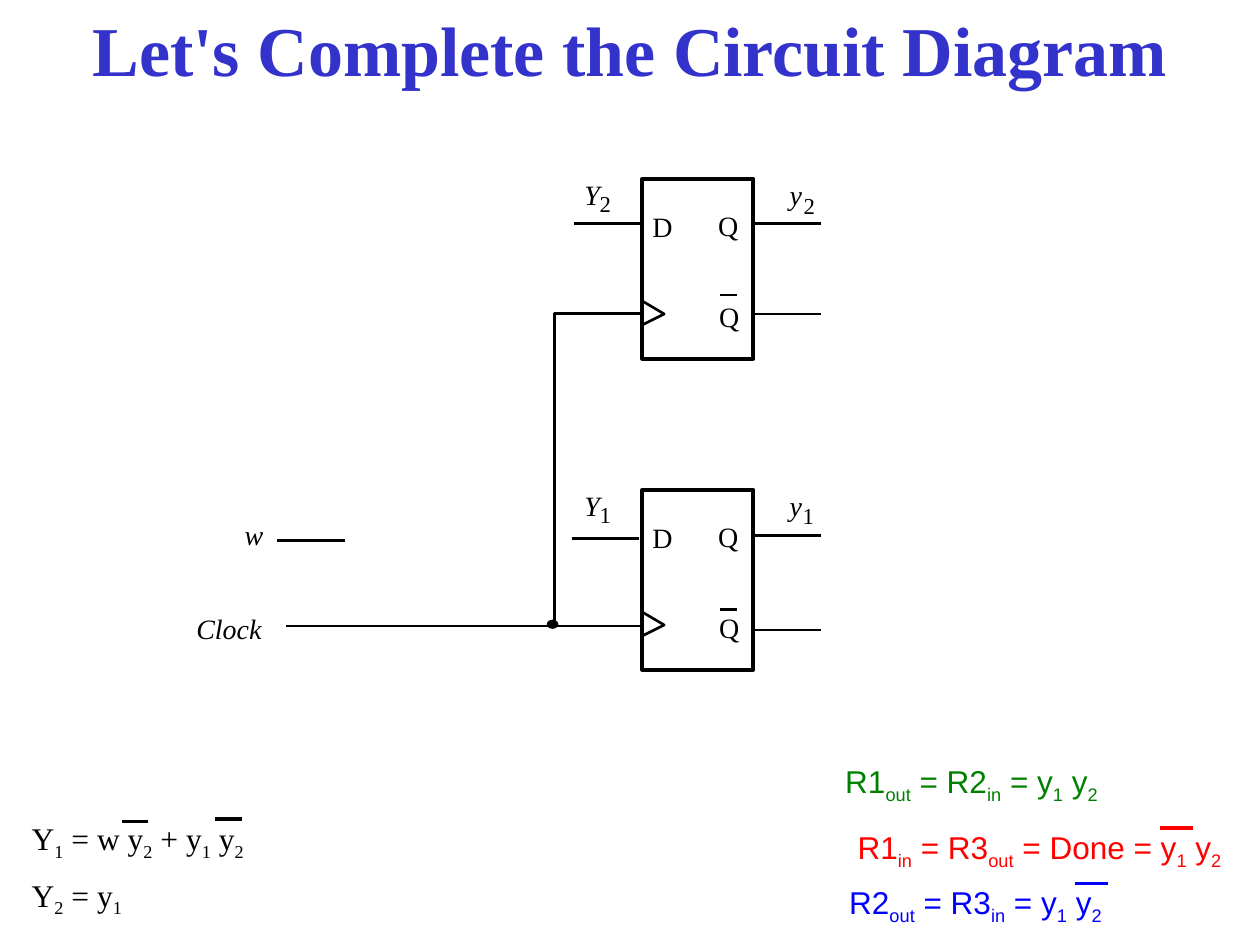
import pptx
import pptx.util
import pptx.dml.color
import pptx.enum.shapes
import pptx.enum.text
import pptx.oxml
from pptx.util import Cm

# ---- Content (lengths in cm; subscripts stand after every odd "|") ----
TITLE = "Let's Complete the Circuit Diagram"

EQUATIONS = [  # text, box, colour, font, inset, overbars (x, y, length)
    ("R1|out| = R2|in| = y|1| y|2", (16.79, 15.24, 5.84, 1.02),
     "green", "sans", 0.25, []),
    ("R2|out| = R3|in| = y|1| y|2", (16.87, 17.68, 5.84, 1.02),
     "blue", "sans", 0.25, [(21.67, 17.81, 0.66)]),
    ("R1|in| = R3|out| = Done = y|1| y|2", (17.04, 16.56, 8.1, 1.02),
     "red", "sans", 0.25, [(23.39, 16.69, 0.66)]),
    ("Y|2| = y|1", (0.64, 17.65, 2.82, 0.69), "ink", "serif", 0, []),
    ("Y|1| = w y|2| + y|1| y|2", (0.64, 16.51, 6.6, 0.69),
     "ink", "serif", 0, [(2.46, 16.56, 0.53), (4.34, 16.51, 0.53)]),
]

# Heights below the top of each flip-flop; input is its left end and height
FLIP_FLOPS = [
    {"index": "2", "top": 3.61, "input": (11.58, 0.89), "q": 0.89,
     "not_q": 2.72, "overbar": 2.34, "output_index": (3.25, 0.25)},
    {"index": "1", "top": 9.88, "input": (11.53, 0.98), "q": 0.91,
     "not_q": 2.82, "overbar": 2.41, "output_index": (3.23, 0.23)},
]
FLIP_LEFT, FLIP_WIDTH, FLIP_HEIGHT = 12.95, 2.24, 3.62
PIN_LABELS = [("D", 0.2, 0.62), ("Q", 1.53, 0.6), ("Q", 1.55, 2.42)]
LABEL_BOX = (0.81, 0.81)
INDEX_BOX = (0.58, 0.69)
WIRE_LENGTH = 1.36

SIGNALS = [("w", 4.93, 10.44), ("Clock", 3.96, 12.32)]
W_WIRE = (5.59, 10.9)
CLOCK_LEFT, CLOCK_BRANCH = 5.77, 11.18
CLOCK_HEIGHTS = (6.32, 12.62)

THEME = {
    "serif": "Times New Roman", "sans": "Arial",
    "title": "3333CC", "ink": "000000", "paper": "FFFFFF",
    "green": "008000", "blue": "0000FF", "red": "FF0000",
    "title_size": 40, "equation_size": 18, "label_size": 16, "index_size": 13,
    "wire": 1.5, "overbar": 2, "outline": 2.25,
}


def color(name):
    return pptx.dml.color.RGBColor.from_string(THEME[name])


def set_font(paragraph, size, ink="ink", face="serif"):
    paragraph.font.size = pptx.util.Pt(THEME[size])
    paragraph.font.name = THEME[face]
    paragraph.font.color.rgb = color(ink)


def set_line(shape, width, ink="ink"):
    shape.line.color.rgb = color(ink)
    shape.line.width = pptx.util.Pt(THEME[width])


def add_text(slide, text, box, size, ink="ink", face="serif", inset=0, italic=None):
    frame = slide.shapes.add_textbox(*map(Cm, box)).text_frame
    frame.word_wrap = True
    frame.margin_left = frame.margin_right = Cm(inset)
    frame.margin_top = frame.margin_bottom = Cm(inset / 2)
    paragraph = frame.paragraphs[0]
    set_font(paragraph, size, ink, face)
    paragraph.font.italic = italic
    for position, part in enumerate(text.split("|")):
        run = paragraph.add_run()
        run.text = part
        if position % 2:
            run.font._element.set("baseline", "-25000")


def add_line(slide, x1, y1, x2, y2, width="wire", ink="ink"):
    line = slide.shapes.add_connector(
        pptx.enum.shapes.MSO_CONNECTOR.STRAIGHT, *map(Cm, (x1, y1, x2, y2)))
    set_line(line, width, ink)
    line._element.spPr.append(pptx.oxml.parse_xml(
        '<a:effectLst xmlns:a="http://schemas.openxmlformats.org/drawingml/2006/main"/>'))


def add_polyline(slide, points):
    start, *rest = [(Cm(x), Cm(y)) for x, y in points]
    builder = slide.shapes.build_freeform(*start)
    builder.add_line_segments(rest, close=False)
    polyline = builder.convert_to_shape()
    polyline.fill.background()
    polyline.shadow.inherit = False
    set_line(polyline, "wire")


def add_solid(slide, kind, box, fill, width):
    solid = slide.shapes.add_shape(kind, *map(Cm, box))
    solid.fill.solid()
    solid.fill.fore_color.rgb = color(fill)
    solid.shadow.inherit = False
    set_line(solid, width)


def add_flip_flop(slide, flip):
    left, top = FLIP_LEFT, flip["top"]
    right = left + FLIP_WIDTH
    add_solid(slide, pptx.enum.shapes.MSO_SHAPE.RECTANGLE,
              (left, top, FLIP_WIDTH, FLIP_HEIGHT), "paper", "outline")

    # Pins and clock marker
    for pin, dx, dy in PIN_LABELS:
        add_text(slide, pin, (left + dx, top + dy, *LABEL_BOX), "label_size")
    add_line(slide, left + 1.57, top + flip["overbar"], left + 1.9, top + flip["overbar"])
    add_polyline(slide, [(left, top + 2.94), (left + 0.44, top + 2.72), (left, top + 2.46)])

    # Wires
    input_left, dy = flip["input"]
    add_line(slide, input_left, top + dy, input_left + WIRE_LENGTH, top + dy)
    for height in (flip["q"], flip["not_q"]):
        add_line(slide, right, top + height, right + WIRE_LENGTH, top + height)

    # Input and output names
    for name, dx, index_offset in (("Y", -1.17, (-0.86, 0.22)),
                                   ("y", 2.97, flip["output_index"])):
        add_text(slide, name, (left + dx, top - 0.04, *LABEL_BOX), "label_size", italic=True)
        index_dx, index_dy = index_offset
        add_text(slide, flip["index"], (left + index_dx, top + index_dy, *INDEX_BOX),
                 "index_size")


def main():
    deck = pptx.Presentation()
    deck.slide_width, deck.slide_height = Cm(25.4), Cm(19.05)
    slide = deck.slides.add_slide(deck.slide_layouts[5])

    # Title
    title = slide.shapes.title
    title.left, title.top, title.width, title.height = map(Cm, (0, 0.03, 25.4, 1.9))
    title.text_frame.text = TITLE
    title.text_frame.vertical_anchor = pptx.enum.text.MSO_ANCHOR.MIDDLE
    heading = title.text_frame.paragraphs[0]
    heading.alignment = pptx.enum.text.PP_ALIGN.CENTER
    set_font(heading, "title_size", "title")
    heading.font.bold = True

    # Equations
    for text, box, ink, face, inset, overbars in EQUATIONS:
        add_text(slide, text, box, "equation_size", ink, face, inset)
        for x, y, length in overbars:
            add_line(slide, x, y, x + length, y, "overbar", ink)

    # Flip-flops
    for flip in FLIP_FLOPS:
        add_flip_flop(slide, flip)

    # Input signals and clock wiring
    for name, x, y in SIGNALS:
        add_text(slide, name, (x, y, 1.8, 0.81), "label_size", italic=True)
    x, y = W_WIRE
    add_line(slide, x, y, x + WIRE_LENGTH, y)
    upper, lower = CLOCK_HEIGHTS
    add_polyline(slide, [(CLOCK_LEFT, lower), (CLOCK_BRANCH, lower),
                         (CLOCK_BRANCH, upper), (FLIP_LEFT, upper)])
    add_line(slide, CLOCK_BRANCH, lower, FLIP_LEFT, lower)
    add_solid(slide, pptx.enum.shapes.MSO_SHAPE.OVAL,
              (CLOCK_BRANCH - 0.13, lower - 0.1, 0.18, 0.13), "ink", "wire")

    deck.save("out.pptx")


if __name__ == "__main__":
    main()
